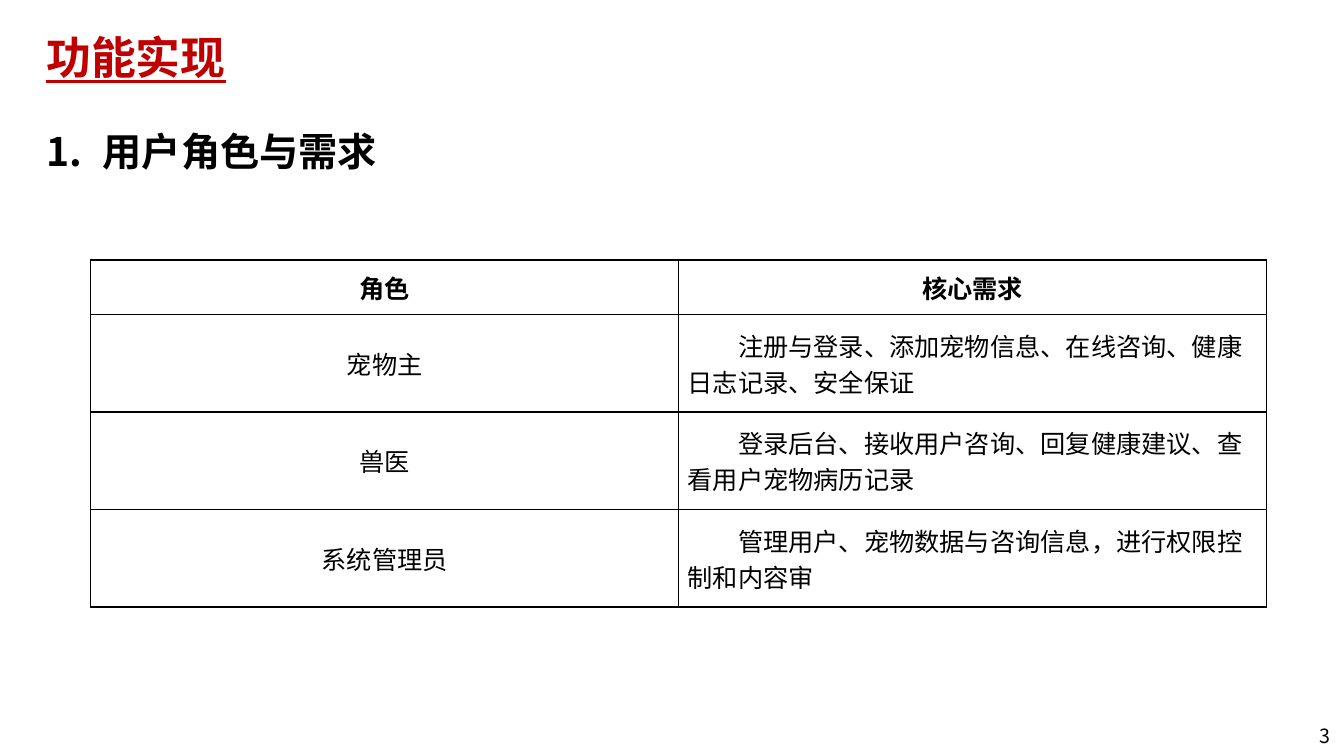
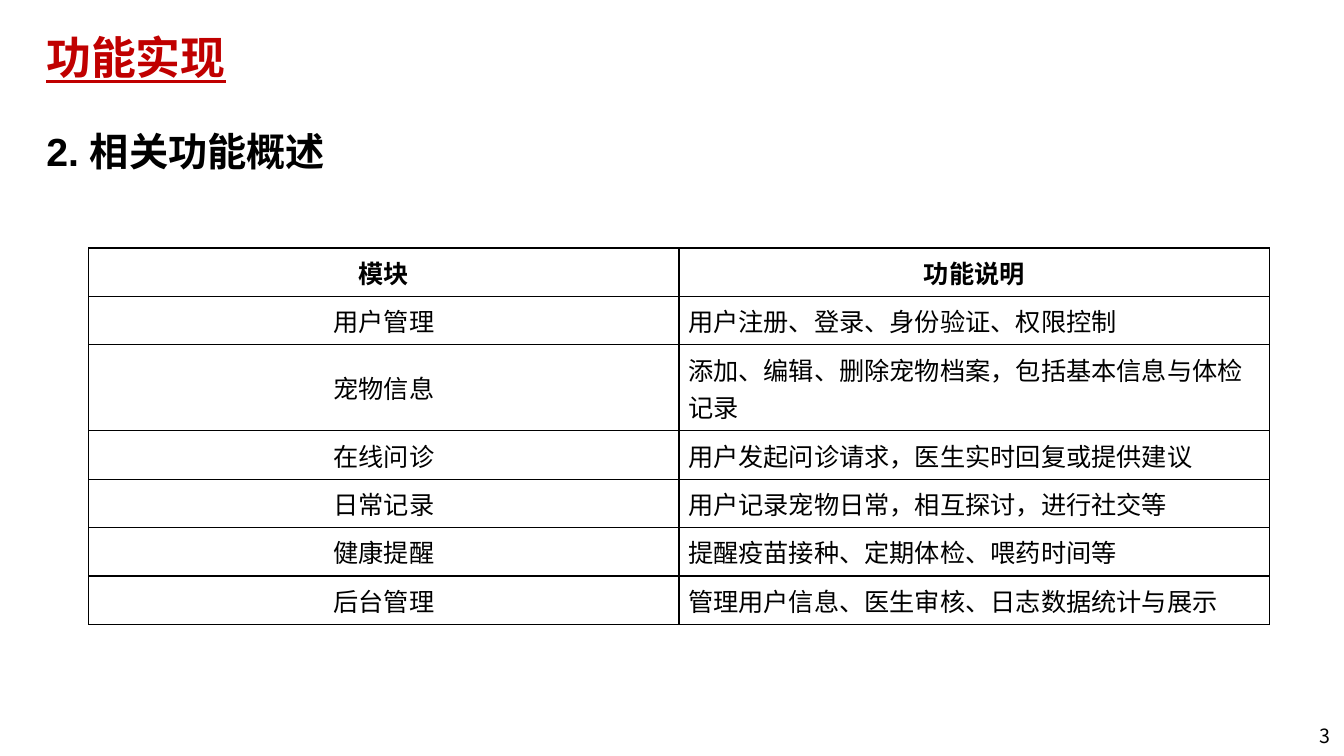
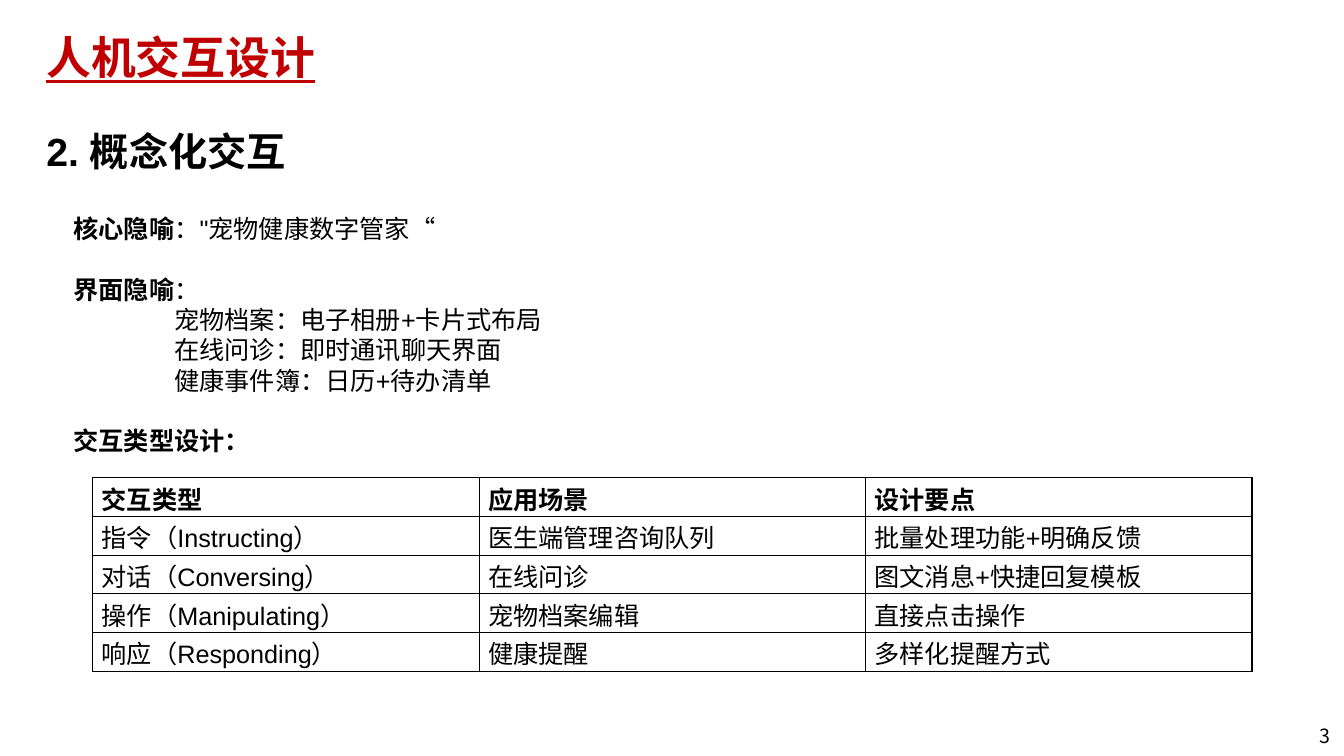
from lxml.etree import SubElement
from pptx import Presentation
from pptx.dml.color import RGBColor
from pptx.enum.shapes import MSO_SHAPE
from pptx.enum.text import MSO_ANCHOR, PP_ALIGN
from pptx.oxml.ns import qn
from pptx.util import Emu, Inches, Pt

WIDTH, HEIGHT = Inches(13.33), Inches(7.5)
COLORS = {"title": "C00000", "text": "000000", "paper": "FFFFFF"}
LATIN, CHINESE = "Arial", "Noto Sans CJK SC"
NO_INSETS = dict.fromkeys(("margin_left", "margin_top", "margin_right", "margin_bottom"), 0)
TITLE = {"size": Pt(32), "bold": True, "underline": True}
HEADING = {"size": Pt(28), "bold": True}
BODY = {"size": Pt(18), "bold": False}
STRONG = {**BODY, "bold": True}
NUMBER = {"size": Pt(14), "name": CHINESE}
CENTER = {"alignment": PP_ALIGN.CENTER}
LEFT = {"alignment": PP_ALIGN.LEFT}
TIGHT = {**LEFT, "line_spacing": Pt(21.6)}
MIDDLE = {"vertical_anchor": MSO_ANCHOR.MIDDLE}
CELL = {**MIDDLE, "margin_left": Inches(0.09), "margin_right": Inches(0.09),
        "margin_top": Inches(0.04), "margin_bottom": Inches(0.04)}
LOW_CELL = {**CELL, "margin_top": Inches(0.08), "margin_bottom": 0}

ROLES = [
    ("角色", "核心需求"),
    ("宠物主", "注册与登录、添加宠物信息、在线咨询、健康日志记录、安全保证"),
    ("兽医", "登录后台、接收用户咨询、回复健康建议、查看用户宠物病历记录"),
    ("系统管理员", "管理用户、宠物数据与咨询信息，进行权限控制和内容审"),
]
MODULES = [
    ("模块", "功能说明"),
    ("用户管理", "用户注册、登录、身份验证、权限控制"),
    ("宠物信息", "添加、编辑、删除宠物档案，包括基本信息与体检记录"),
    ("在线问诊", "用户发起问诊请求，医生实时回复或提供建议"),
    ("日常记录", "用户记录宠物日常，相互探讨，进行社交等"),
    ("健康提醒", "提醒疫苗接种、定期体检、喂药时间等"),
    ("后台管理", "管理用户信息、医生审核、日志数据统计与展示"),
]
INTERACTIONS = [
    ("交互类型", "应用场景", "设计要点"),
    ("指令（Instructing）", "医生端管理咨询队列", "批量处理功能+明确反馈"),
    ("对话（Conversing）", "在线问诊", "图文消息+快捷回复模板"),
    ("操作（Manipulating）", "宠物档案编辑", "直接点击操作"),
    ("响应（Responding）", "健康提醒", "多样化提醒方式"),
]
METAPHORS = [
    (0.5, 0, [("核心隐喻", STRONG), ("：\"宠物健康数字管家“", BODY)]),
    (0.5, 1, [("界面隐喻", STRONG), ("：", BODY)]),
    (1.5, 0, [("宠物档案：电子相册+卡片式布局", BODY)]),
    (1.5, 0, [("在线问诊：即时通讯聊天界面", BODY)]),
    (1.5, 0, [("健康事件簿：日历+待办清单", BODY)]),
    (0.5, 1, [("交互类型设计：", STRONG)]),
]


def across(percent):
    return Emu(round(WIDTH * percent / 100))


def down(percent):
    return Emu(round(HEIGHT * percent / 100))


def place(left, top, width, height):
    return across(left), down(top), across(width), down(height)


def apply_formats(target, formats):
    for name, value in formats.items():
        setattr(target, name, value)


def add_run(paragraph, text, formats, color="text"):
    run = paragraph.add_run()
    run.text = text
    apply_formats(run.font, {"name": LATIN, **formats})
    run.font.color.rgb = RGBColor.from_string(COLORS[color])
    SubElement(run.font._element, qn("a:ea"), typeface=CHINESE)


def set_indent(paragraph, left, first):
    properties = paragraph._p.get_or_add_pPr()
    properties.set("marL", str(Inches(left)))
    properties.set("indent", str(Inches(first)))
    return properties


def add_text_box(slide, box, formats):
    frame = slide.shapes.add_textbox(*place(*box)).text_frame
    apply_formats(frame, {"word_wrap": True, **formats})
    return frame


def add_title_band(slide, text):
    band = slide.shapes.add_shape(MSO_SHAPE.RECTANGLE, *place(2.7, 2.8, 75.5, 9.47))
    band.shadow.inherit = False
    band.fill.solid()
    band.fill.fore_color.rgb = RGBColor.from_string(COLORS["paper"])
    band.line.fill.background()
    apply_formats(band.text_frame, MIDDLE)
    paragraph = band.text_frame.paragraphs[0]
    apply_formats(paragraph, LEFT)
    add_run(paragraph, text, TITLE, "title")


def add_heading(slide, text, numbered):
    frame = add_text_box(slide, (3.45, 15.33, 90, 9.33), {**NO_INSETS, **MIDDLE})
    paragraph = frame.paragraphs[0]
    if numbered:
        properties = set_indent(paragraph, 0.56, -0.56)
        SubElement(properties, qn("a:buFont"), typeface=CHINESE)
        SubElement(properties, qn("a:buAutoNum"), type="arabicPeriod")
    add_run(paragraph, text, HEADING)


def add_page_number(slide, text):
    frame = add_text_box(slide, (97, 95.73, 2, 3.73), NO_INSETS)
    paragraph = frame.paragraphs[0]
    apply_formats(paragraph, {"alignment": PP_ALIGN.RIGHT})
    add_run(paragraph, text, NUMBER)


def add_metaphors(slide):
    frame = add_text_box(slide, (0.98, 27.6, 98, 34.67), {})
    for index, (indent, lines_before, runs) in enumerate(METAPHORS):
        paragraph = frame.add_paragraph() if index else frame.paragraphs[0]
        apply_formats(paragraph, {**TIGHT, "space_before": Pt(21.6 * lines_before)})
        set_indent(paragraph, indent, 0)
        for text, formats in runs:
            add_run(paragraph, text, formats)


def add_borders(cell):
    properties = cell._tc.get_or_add_tcPr()
    for side in ("lnL", "lnR", "lnT", "lnB"):
        line = SubElement(properties, qn(f"a:{side}"), w=str(Pt(1)))
        fill = SubElement(line, qn("a:solidFill"))
        SubElement(fill, qn("a:srgbClr"), val=COLORS["text"])


def add_grid_table(slide, rows, left, top, width, heights, header, columns,
                   cell_formats=CELL, first_indent=0):
    box = place(left, top, width, sum(heights))
    table = slide.shapes.add_table(len(rows), len(columns), *box).table
    apply_formats(table, {"first_row": False, "horz_banding": False})
    for column in table.columns:
        column.width = across(width / len(columns))
    for row_index, (texts, height) in enumerate(zip(rows, heights)):
        table.rows[row_index].height = down(height)
        for column_index, text in enumerate(texts):
            cell = table.cell(row_index, column_index)
            apply_formats(cell, cell_formats)
            add_borders(cell)
            cell.fill.background()
            paragraph = cell.text_frame.paragraphs[0]
            apply_formats(paragraph, columns[column_index] if row_index else header)
            if first_indent and row_index and column_index:
                set_indent(paragraph, 0, first_indent)
            add_run(paragraph, text, BODY if row_index else STRONG)


def add_content_slide(presentation, title, heading, numbered=False):
    slide = presentation.slides.add_slide(presentation.slide_layouts[6])
    add_title_band(slide, title)
    add_heading(slide, heading, numbered)
    add_page_number(slide, "3")
    return slide


def main():
    presentation = Presentation()
    apply_formats(presentation, {"slide_width": WIDTH, "slide_height": HEIGHT})

    slide = add_content_slide(presentation, "功能实现", "用户角色与需求", numbered=True)
    add_grid_table(slide, ROLES, 6.75, 34.4, 87.5, [7.2] + [12.9] * 3,
                   CENTER, [CENTER, LEFT], first_indent=0.5)

    slide = add_content_slide(presentation, "功能实现", "2. 相关功能概述")
    add_grid_table(slide, MODULES, 6.6, 32.8, 87.85, [6.4, 6.4, 11.4] + [6.4] * 4,
                   CENTER, [CENTER, LEFT])

    slide = add_content_slide(presentation, "人机交互设计", "2. 概念化交互")
    add_metaphors(slide)
    add_grid_table(slide, INTERACTIONS, 6.9, 63.2, 86.25, [5.12] * 5,
                   TIGHT, [TIGHT] * 3, LOW_CELL)

    presentation.save("out.pptx")


if __name__ == "__main__":
    main()
